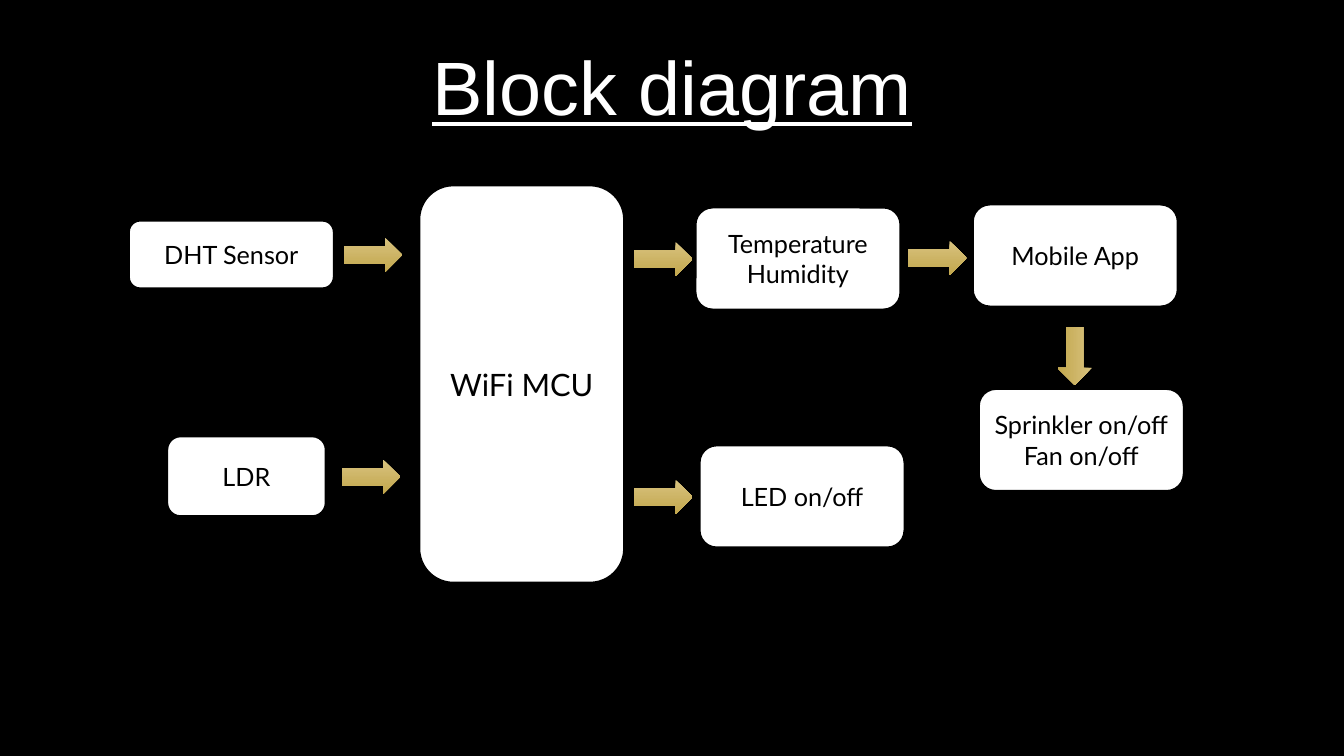
from pptx import Presentation
from pptx.dml.color import RGBColor
from pptx.enum.shapes import MSO_SHAPE as Kind
from pptx.enum.text import MSO_ANCHOR as Anchor, PP_ALIGN as Align
from pptx.util import Inches, Pt

BLACK = RGBColor(0x00, 0x00, 0x00)
WHITE = RGBColor(0xFF, 0xFF, 0xFF)
LIGHT = RGBColor(0xD8, 0xC2, 0x7E)
GOLD = RGBColor(0xC2, 0xA7, 0x4D)

WIDE, HIGH = 2.03, 1.01
LONG, THICK = 0.58, 0.34

deck = Presentation()
deck.slide_width, deck.slide_height = Inches(13.33), Inches(7.5)
slide = deck.slides.add_slide(deck.slide_layouts[6])
slide.background.fill.solid()
slide.background.fill.fore_color.rgb = BLACK


def write(frame, lines, font, size, color):
    """Fill a frame with centred paragraphs."""
    frame.word_wrap = True
    frame.vertical_anchor = Anchor.MIDDLE
    frame.text = "\n".join(lines)
    for para in frame.paragraphs:
        para.alignment = Align.CENTER
        para.font.name = font
        para.font.size = Pt(size)
        para.font.color.rgb = color


def draw(kind, left, top, width, height):
    """Add a preset shape without its shadow."""
    shape = slide.shapes.add_shape(
        kind, Inches(left), Inches(top), Inches(width), Inches(height))
    shape.shadow.inherit = False
    return shape


title = slide.shapes.add_textbox(
    Inches(2.44), Inches(0.34), Inches(8.45), Inches(1.01))
write(title.text_frame, ["Block diagram"], "Arial", 54, WHITE)
title.text_frame.paragraphs[0].font.underline = True

# Blocks: left, top, width, height, text size, lines
blocks = [
    (1.28, 2.19, WIDE, 0.67, 18, ["DHT Sensor"]),
    (1.66, 4.33, 1.57, 0.79, 18, ["LDR"]),
    (4.16, 1.84, WIDE, 3.94, 22, ["WiFi MCU"]),
    (6.90, 2.06, WIDE, HIGH, 18, ["Temperature", "Humidity"]),
    (6.94, 4.42, WIDE, HIGH, 18, ["LED on/off"]),
    (9.65, 2.03, WIDE, HIGH, 18, ["Mobile App"]),
    (9.71, 3.86, WIDE, HIGH, 18, ["Sprinkler on/off", "Fan on/off"]),
]
for left, top, width, height, size, lines in blocks:
    block = draw(Kind.ROUNDED_RECTANGLE, left, top, width, height)
    block.fill.solid()
    block.fill.fore_color.rgb = WHITE
    block.line.color.rgb = BLACK
    block.line.width = Pt(1.25)
    frame = block.text_frame
    frame.margin_left = frame.margin_right = Inches(0.05)
    write(frame, lines, "Lato", size, BLACK)

# Arrows: left, top, turn in degrees
arrows = [
    (3.41, 2.36, 0),
    (3.39, 4.56, 0),
    (6.29, 2.40, 0),
    (6.29, 4.76, 0),
    (9.01, 2.39, 0),
    (10.37, 3.36, 90),
]
for left, top, turn in arrows:
    arrow = draw(Kind.RIGHT_ARROW, left, top, LONG, THICK)
    arrow.rotation = turn
    arrow.line.fill.background()
    arrow.fill.gradient()
    arrow.fill.gradient_angle = 270
    for stop, color, place in zip(
            arrow.fill.gradient_stops, (LIGHT, GOLD), (0, 1)):
        stop.color.rgb = color
        stop.position = place

deck.save("out.pptx")
